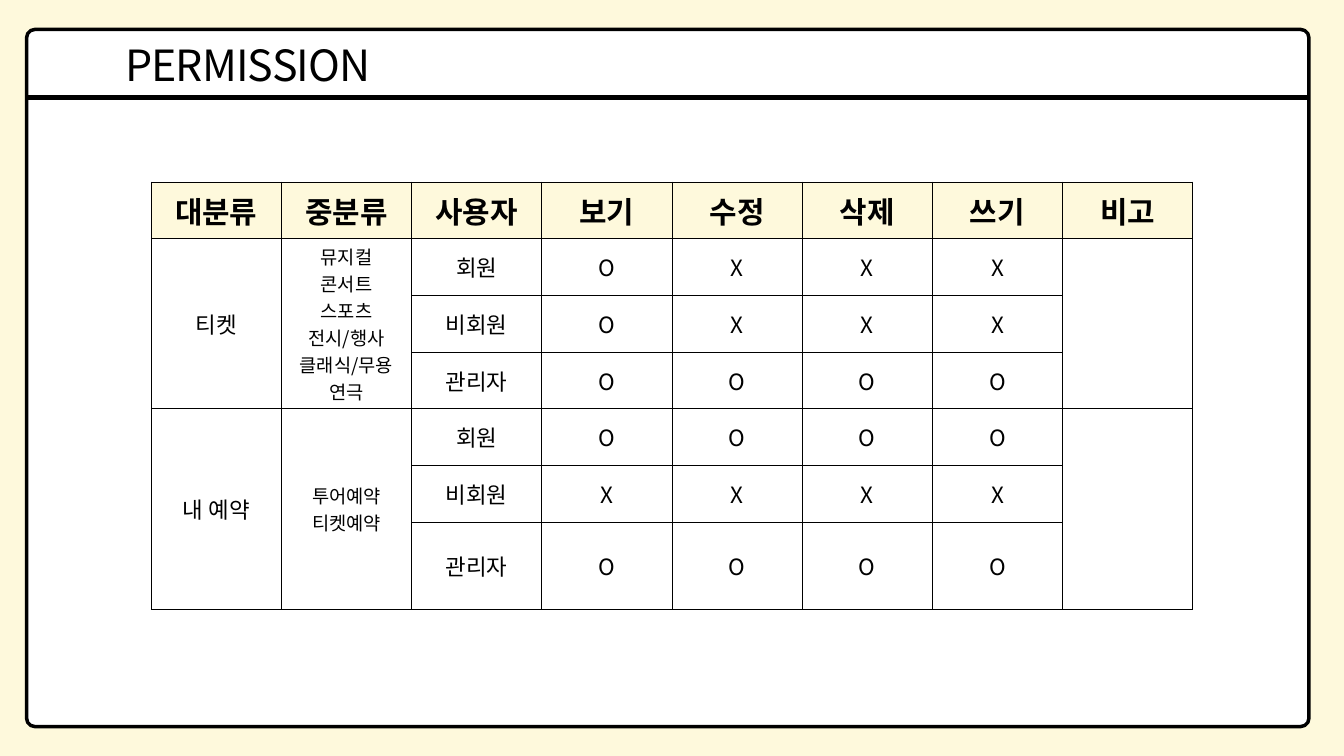
import pptx
import pptx.util
import pptx.dml.color
import pptx.enum.shapes
import pptx.enum.text
import pptx.oxml
import pptx.oxml.ns
from lxml import etree

PX = 9525  # EMU per px, 96 px to the inch
FONT = "Noto Sans CJK KR"
BLACK = pptx.dml.color.RGBColor(0, 0, 0)
WHITE = pptx.dml.color.RGBColor(255, 255, 255)
CREAM = pptx.dml.color.RGBColor(0xFE, 0xF9, 0xDC)
CENTER = pptx.enum.text.PP_ALIGN.CENTER
qn = pptx.oxml.ns.qn


def format_paragraphs(text_frame, size, bold=False):
    for paragraph in text_frame.paragraphs:
        paragraph.alignment = CENTER
        for run in paragraph.runs:
            run.font.name = FONT
            run.font.size = pptx.util.Pt(size)
            run.font.bold = bold
            run.font.color.rgb = BLACK
            etree.SubElement(run.font._element, qn("a:ea"), typeface=FONT)


def add_borders(cell):
    properties = cell._tc.get_or_add_tcPr()
    for index, side in enumerate(("lnL", "lnR", "lnT", "lnB")):
        border = pptx.oxml.parse_xml(
            f'<a:{side} xmlns:a="http://schemas.openxmlformats.org/drawingml/2006/main" w="12700">'
            f'<a:solidFill><a:srgbClr val="{BLACK}"/></a:solidFill></a:{side}>')
        properties.insert(index, border)


presentation = pptx.Presentation()
presentation.slide_width = 1920 * PX
presentation.slide_height = 1080 * PX
slide = presentation.slides.add_slide(presentation.slide_layouts[6])
slide.background.fill.solid()
slide.background.fill.fore_color.rgb = CREAM

# Window frame
left, top, width, height, radius = 38, 42, 1832, 996, 12
frame = slide.shapes.add_shape(
    pptx.enum.shapes.MSO_SHAPE.ROUNDED_RECTANGLE, left * PX, top * PX, width * PX, height * PX)
frame.adjustments[0] = radius / height
frame.shadow.inherit = False
frame.fill.solid()
frame.fill.fore_color.rgb = WHITE
frame.line.color.rgb = BLACK
frame.line.width = pptx.util.Pt(3.75)

# Line under the title bar
divider = slide.shapes.add_connector(
    pptx.enum.shapes.MSO_CONNECTOR.STRAIGHT,
    left * PX, 139 * PX, (left + width) * PX, 139 * PX)
divider.line.color.rgb = BLACK
divider.line.width = pptx.util.Pt(4.96)
etree.SubElement(divider._element.spPr, qn("a:effectLst"))

# Title
title = slide.shapes.add_textbox(72 * PX, 43 * PX, 564 * PX, 82 * PX)
text_frame = title.text_frame
text_frame.word_wrap = True
text_frame.margin_left = text_frame.margin_right = 0
text_frame.margin_top = text_frame.margin_bottom = 0
text_frame.text = "PERMISSION"
format_paragraphs(text_frame, 46)
text_frame.paragraphs[0].line_spacing = pptx.util.Pt(64.4)
text_frame.paragraphs[0].runs[0].font._element.set("spc", "-90")

# Permission table
headers = ["대분류", "중분류", "사용자", "보기", "수정", "삭제", "쓰기", "비고"]
users = ["회원", "비회원", "관리자"]
groups = [
    ("티켓", "뮤지컬\n콘서트\n스포츠\n전시/행사\n클래식/무용\n연극", ["OXXX", "OXXX", "OOOO"]),
    ("내 예약", "투어예약\n티켓예약", ["OOOO", "XXXX", "OOOO"]),
]
rows = [headers]
for category, subcategories, permissions in groups:
    for index, user in enumerate(users):
        labels = [category, subcategories] if index == 0 else ["", ""]
        rows.append([*labels, user, *permissions[index], ""])

column_width = 186
row_heights = [81] * 6 + [124]
table = slide.shapes.add_table(
    len(rows), len(headers), 216 * PX, 260 * PX,
    column_width * len(headers) * PX, sum(row_heights) * PX).table
table.first_row = False
table.horz_banding = False
for column in table.columns:
    column.width = column_width * PX
for row, row_height in zip(table.rows, row_heights):
    row.height = row_height * PX

for row_index, row in enumerate(rows):
    for column_index, text in enumerate(row):
        cell = table.cell(row_index, column_index)
        cell.vertical_anchor = pptx.enum.text.MSO_ANCHOR.MIDDLE
        cell.text_frame.text = text
        if row_index == 0:
            cell.fill.solid()
            cell.fill.fore_color.rgb = CREAM
            format_paragraphs(cell.text_frame, 32, bold=True)
        else:
            cell.fill.background()
            format_paragraphs(cell.text_frame, 20 if column_index == 1 else 24)
        add_borders(cell)

# Category, subcategory and remark cells span the three users of a group
for first_row in (1, 4):
    for column_index in (0, 1, 7):
        table.cell(first_row, column_index).merge(table.cell(first_row + 2, column_index))

presentation.save("out.pptx")
